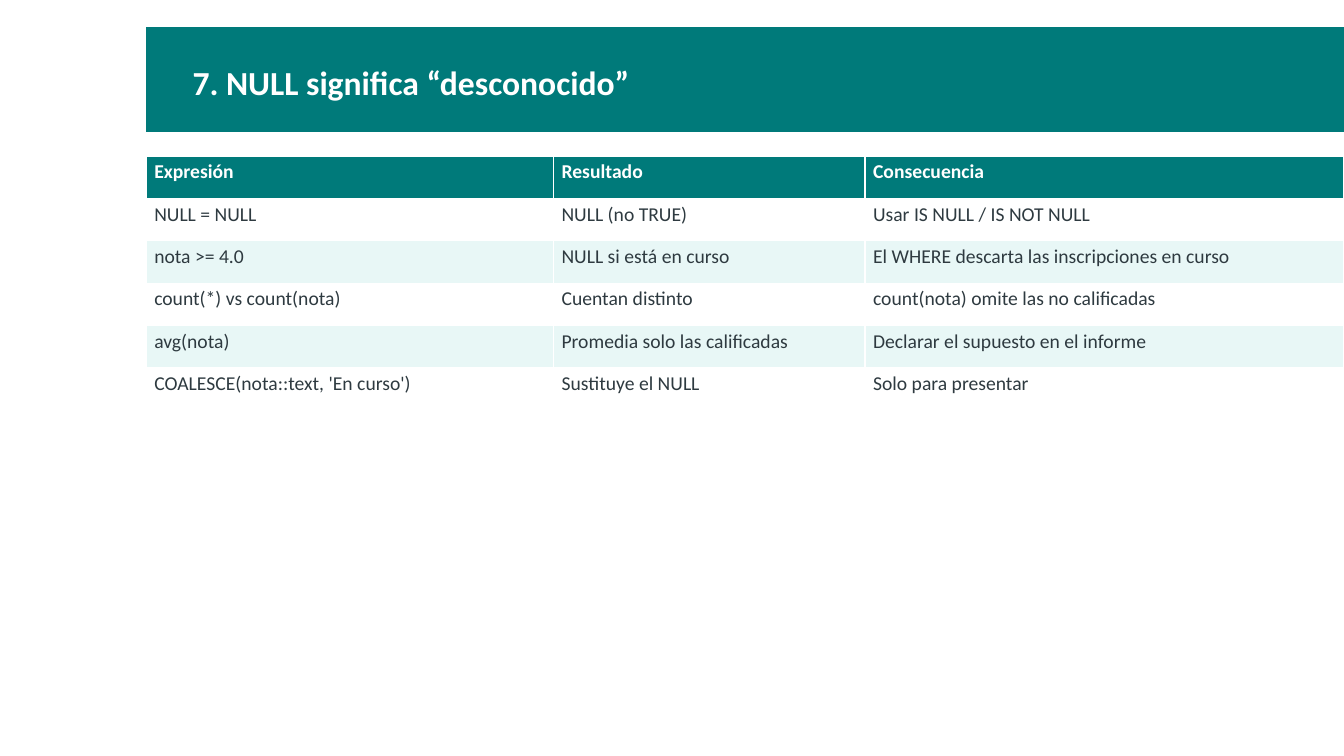
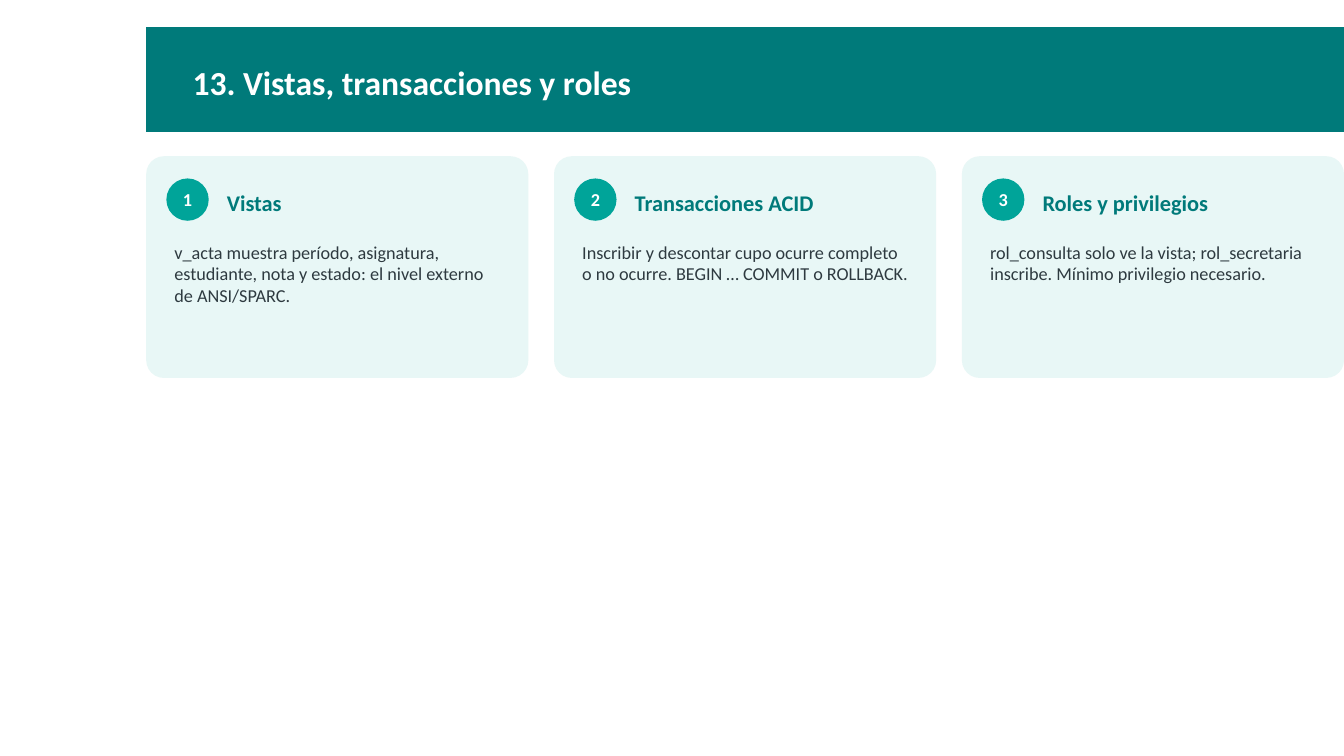
"""Build two SQL course slides: a table about NULL and a row of numbered cards."""
import dataclasses

import pptx
import pptx.dml.color
import pptx.enum.shapes
import pptx.enum.text
import pptx.util

Inches = pptx.util.Inches
Shapes = pptx.enum.shapes.MSO_SHAPE
Align = pptx.enum.text.PP_ALIGN
Anchor = pptx.enum.text.MSO_ANCHOR


@dataclasses.dataclass(frozen=True)
class Theme:
    font: str = "Calibri"
    dark: str = "007A7A"
    accent: str = "00A499"
    pale: str = "E8F7F6"
    ink: str = "2E3A40"
    white: str = "FFFFFF"
    title_size: int = 24
    heading_size: int = 16
    table_size: int = 14
    body_size: int = 13
    space_after: int = 6
    inset_x: float = 0.08
    inset_y: float = 0.04


@dataclasses.dataclass(frozen=True)
class Box:
    left: float
    top: float
    width: float
    height: float

    def inner(self, left, top, width, height):
        return Box(self.left + left, self.top + top, width, height)

    def lengths(self):
        return [Inches(value) for value in dataclasses.astuple(self)]


THEME = Theme()
SLIDE_WIDTH, SLIDE_HEIGHT = 13.33, 7.5
MARGIN = 1.45
CONTENT_WIDTH = SLIDE_WIDTH - MARGIN
BAND = Box(MARGIN, 0.27, CONTENT_WIDTH, 1.04)
CONTENT_TOP = 1.55

NULL_ROWS = [
    ("Expresión", "Resultado", "Consecuencia"),
    ("NULL = NULL", "NULL (no TRUE)", "Usar IS NULL / IS NOT NULL"),
    ("nota >= 4.0", "NULL si está en curso", "El WHERE descarta las inscripciones en curso"),
    ("count(*) vs count(nota)", "Cuentan distinto", "count(nota) omite las no calificadas"),
    ("avg(nota)", "Promedia solo las calificadas", "Declarar el supuesto en el informe"),
    ("COALESCE(nota::text, 'En curso')", "Sustituye el NULL", "Solo para presentar"),
]
NULL_COLUMNS = (4.04, 3.09, 4.75)
ROW_HEIGHT = 0.42

CARDS = [
    ("Vistas", "v_acta muestra período, asignatura, estudiante, nota y estado: "
               "el nivel externo de ANSI/SPARC."),
    ("Transacciones ACID", "Inscribir y descontar cupo ocurre completo o no ocurre. "
                           "BEGIN … COMMIT o ROLLBACK."),
    ("Roles y privilegios", "rol_consulta solo ve la vista; rol_secretaria inscribe. "
                            "Mínimo privilegio necesario."),
]
CARD_WIDTH, CARD_HEIGHT = 3.79, 2.2


def rgb(color):
    """Turn a hexadecimal string into a colour."""
    return pptx.dml.color.RGBColor.from_string(color)


def add_run(paragraph, text, size, color, bold=False):
    """Append one styled run to a paragraph."""
    run = paragraph.add_run()
    run.text = text
    run.font.name = THEME.font
    run.font.size = pptx.util.Pt(size)
    run.font.bold = bold
    run.font.color.rgb = rgb(color)


def set_insets(holder):
    """Apply the shared margins to a text frame or table cell."""
    holder.margin_left = holder.margin_right = Inches(THEME.inset_x)
    holder.margin_top = holder.margin_bottom = Inches(THEME.inset_y)


def add_panel(slide, kind, box, color):
    """Add a flat filled shape without outline or shadow."""
    shape = slide.shapes.add_shape(kind, *box.lengths())
    shape.shadow.inherit = False
    shape.fill.solid()
    shape.fill.fore_color.rgb = rgb(color)
    shape.line.fill.background()
    return shape


def add_label(slide, box, text, size, color, bold=False,
              anchor=Anchor.MIDDLE, align=Align.LEFT):
    """Add a wrapped text box holding one paragraph."""
    frame = slide.shapes.add_textbox(*box.lengths()).text_frame
    frame.word_wrap = True
    frame.auto_size = pptx.enum.text.MSO_AUTO_SIZE.SHAPE_TO_FIT_TEXT
    frame.vertical_anchor = anchor
    set_insets(frame)
    paragraph = frame.paragraphs[0]
    paragraph.alignment = align
    paragraph.space_after = pptx.util.Pt(THEME.space_after)
    add_run(paragraph, text, size, color, bold)


def add_titled_slide(presentation, title):
    """Add a blank slide with the title band."""
    slide = presentation.slides.add_slide(presentation.slide_layouts[6])
    add_panel(slide, Shapes.RECTANGLE, BAND, THEME.dark)
    add_label(slide, BAND.inner(0.38, 0.11, 10.9, 0.87), title,
              THEME.title_size, THEME.white, bold=True)
    return slide


def add_banded_table(slide, box, rows, column_widths):
    """Add a table with a dark header and alternating row fills."""
    table = slide.shapes.add_table(len(rows), len(column_widths), *box.lengths()).table
    for column, width in zip(table.columns, column_widths):
        column.width = Inches(width)
    for row_index, texts in enumerate(rows):
        header = row_index == 0
        band = THEME.white if row_index % 2 else THEME.pale
        for column_index, text in enumerate(texts):
            cell = table.cell(row_index, column_index)
            cell.fill.solid()
            cell.fill.fore_color.rgb = rgb(THEME.dark if header else band)
            set_insets(cell)
            add_run(cell.text_frame.paragraphs[0], text, THEME.table_size,
                    THEME.white if header else THEME.ink, bold=header)


def add_card(slide, box, number, heading, body):
    """Add a rounded card with a numbered badge, heading and body."""
    card = add_panel(slide, Shapes.ROUNDED_RECTANGLE, box, THEME.pale)
    card.adjustments[0] = 0.08
    badge = box.inner(0.2, 0.22, 0.42, 0.42)
    add_panel(slide, Shapes.OVAL, badge, THEME.accent)
    add_label(slide, badge, str(number), THEME.body_size, THEME.white,
              bold=True, align=Align.CENTER)
    add_label(slide, box.inner(0.72, 0.18, box.width - 0.9, 0.55), heading,
              THEME.heading_size, THEME.dark, bold=True)
    add_label(slide, box.inner(0.2, 0.8, box.width - 0.4, box.height - 0.9), body,
              THEME.body_size, THEME.ink, anchor=Anchor.TOP)


def build_null_slide(presentation):
    """Build the slide about NULL."""
    slide = add_titled_slide(presentation, "7. NULL significa “desconocido”")
    box = Box(MARGIN, CONTENT_TOP, CONTENT_WIDTH, ROW_HEIGHT * len(NULL_ROWS))
    add_banded_table(slide, box, NULL_ROWS, NULL_COLUMNS)


def build_cards_slide(presentation):
    """Build the slide about views, transactions and roles."""
    slide = add_titled_slide(presentation, "13. Vistas, transacciones y roles")
    step = (CONTENT_WIDTH - CARD_WIDTH) / (len(CARDS) - 1)
    for index, (heading, body) in enumerate(CARDS):
        box = Box(MARGIN + index * step, CONTENT_TOP, CARD_WIDTH, CARD_HEIGHT)
        add_card(slide, box, index + 1, heading, body)


def main():
    """Create and save the presentation."""
    presentation = pptx.Presentation()
    presentation.slide_width = Inches(SLIDE_WIDTH)
    presentation.slide_height = Inches(SLIDE_HEIGHT)
    build_null_slide(presentation)
    build_cards_slide(presentation)
    presentation.save("out.pptx")


if __name__ == "__main__":
    main()
